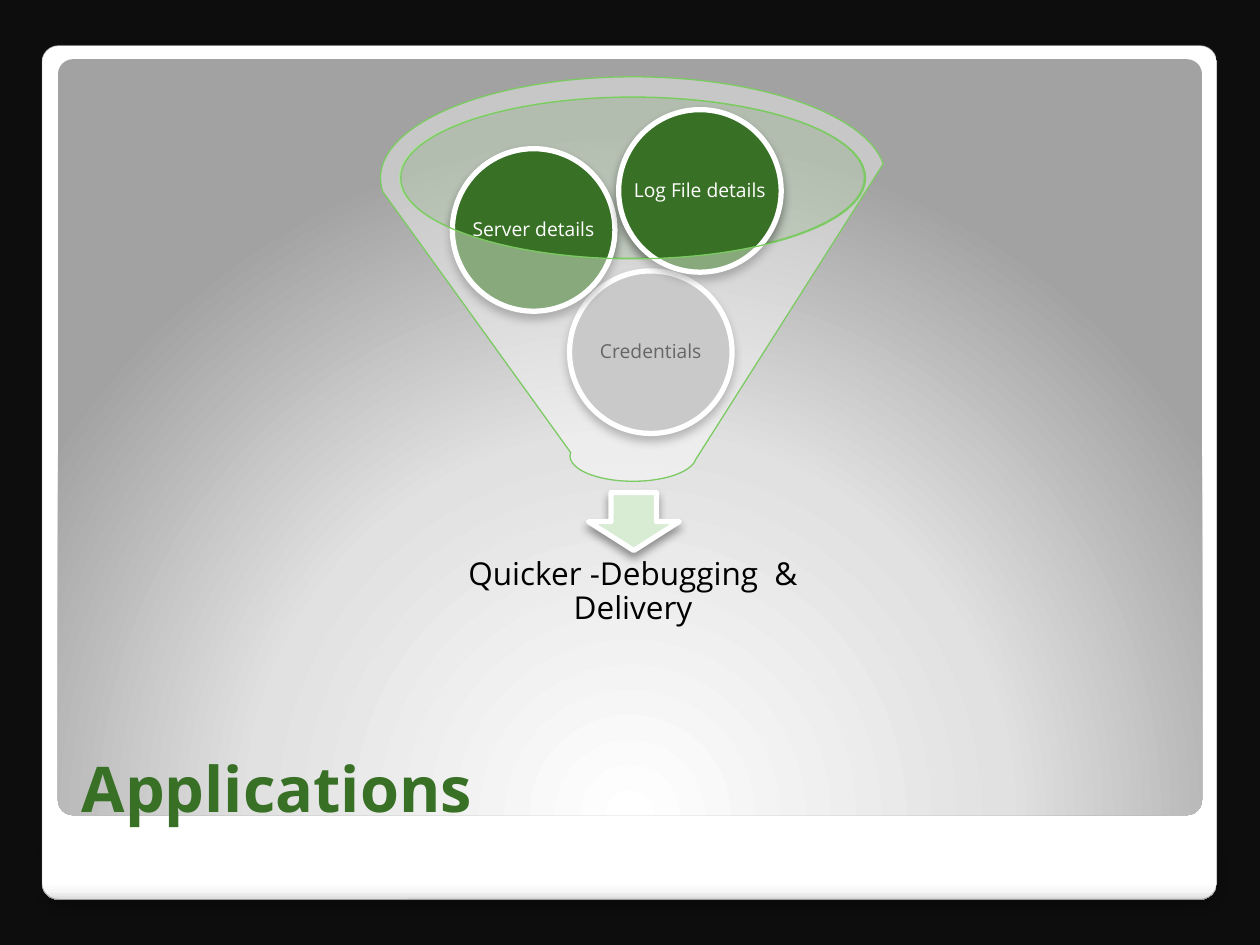
from dataclasses import dataclass

from pptx import Presentation
from pptx import util as u
from pptx.dml.color import RGBColor
from pptx.enum import shapes, text
from pptx.oxml import parse_xml
from pptx.oxml.ns import nsdecls, qn


@dataclass(frozen=True)
class Theme:
    font: str = "Open Sans"
    backdrop: str = "0D0D0D"
    edge: str = "302F2C"
    green: str = "387026"
    outline: str = "7CCA62"
    rim: str = "CCE6C5"
    arrow: str = "D7ECD3"
    grey: str = "A6A6A6"
    white: str = "FFFFFF"
    black: str = "000000"
    title: int = 36
    result: int = 18
    label: int = 11
    panel: tuple = ((0, "FFFFFF"), (98, "FFFFFF"), (99, "F7F7F7"), (100, "DADADA"))
    glow: tuple = ((0, "FFFFFF"), (55, "E1E1E1"), (100, "A2A2A2"))


LINEAR = '<a:lin ang="5400000" scaled="0"/>'
RADIAL = ('<a:path path="circle">'
          '<a:fillToRect l="100000" t="350000" r="100000" b="100000"/></a:path>')
KIND = shapes.MSO_SHAPE


class Painter:
    """Draws styled elements on a slide gridded into 100 columns and 75 rows."""

    def __init__(self, deck, theme):
        self.theme = theme
        self.cell_width = deck.slide_width / 100
        self.cell_height = deck.slide_height / 75
        self.slide = deck.slides.add_slide(deck.slide_layouts[6])
        fill = self.slide.background.fill
        fill.solid()
        fill.fore_color.rgb = RGBColor.from_string(theme.backdrop)

    def place(self, area):
        left, top, width, height = area
        return (round(left * self.cell_width), round(top * self.cell_height),
                round(width * self.cell_width), round(height * self.cell_height))

    def fade(self, parent, percent):
        colour = parent.find(qn("a:solidFill")).find(qn("a:srgbClr"))
        colour.append(parse_xml(f'<a:alpha {nsdecls("a")} val="{percent * 1000}"/>'))

    def shape(self, kind, area, fill=None, opacity=100, line=None, weight=3):
        shape = self.slide.shapes.add_shape(kind, *self.place(area))
        shape.shadow.inherit = False
        if fill:
            shape.fill.solid()
            shape.fill.fore_color.rgb = RGBColor.from_string(fill)
            if opacity < 100:
                self.fade(shape.element.spPr, opacity)
        if line:
            shape.line.color.rgb = RGBColor.from_string(line)
            shape.line.width = u.Pt(weight)
        else:
            shape.line.fill.background()
        return shape

    def shadow(self, shape, opacity=40, blur=5.2, distance=3):
        shape.element.spPr.find(qn("a:effectLst")).append(parse_xml(
            f'<a:outerShdw {nsdecls("a")} blurRad="{u.Pt(blur)}" dist="{u.Pt(distance)}" '
            f'dir="5400000" rotWithShape="0"><a:srgbClr val="{self.theme.black}">'
            f'<a:alpha val="{opacity * 1000}"/></a:srgbClr></a:outerShdw>'))

    def panel(self, area, corner, stops, direction, edge=None):
        panel = self.shape(KIND.ROUNDED_RECTANGLE, area, line=edge, weight=0.67)
        panel.adjustments[0] = corner
        panel.fill.background()
        properties = panel.element.spPr
        marks = "".join(f'<a:gs pos="{share * 1000}"><a:srgbClr val="{colour}"/></a:gs>'
                        for share, colour in stops)
        properties.replace(properties.find(qn("a:noFill")), parse_xml(
            f'<a:gradFill {nsdecls("a")} rotWithShape="1">'
            f'<a:gsLst>{marks}</a:gsLst>{direction}</a:gradFill>'))
        if edge:
            self.fade(properties.find(qn("a:ln")), 37)
        return panel

    def label(self, box, words, size, colour, bold=False, centred=True, inset=0.0, wrap=True):
        frame = box.text_frame
        frame.word_wrap = wrap
        frame.vertical_anchor = text.MSO_ANCHOR.MIDDLE if centred else text.MSO_ANCHOR.BOTTOM
        frame.margin_left = frame.margin_right = u.Inches(inset)
        frame.margin_top = frame.margin_bottom = u.Inches(inset if centred else inset / 2)
        para = frame.paragraphs[0]
        para.text = words
        para.alignment = text.PP_ALIGN.CENTER if centred else text.PP_ALIGN.LEFT
        if centred:
            para.line_spacing = 0.9
        para.font.name = self.theme.font
        para.font.size = u.Pt(size)
        para.font.bold = bold
        para.font.color.rgb = RGBColor.from_string(colour)

    def caption(self, area, words, size, colour, **style):
        box = self.slide.shapes.add_textbox(*self.place(area))
        self.label(box, words, size, colour, **style)

    def ball(self, left, top, words, fill, colour):
        ball = self.shape(KIND.OVAL, (left, top, 12.9, 12.9), fill, line=self.theme.white)
        self.shadow(ball)
        self.label(ball, words, self.theme.label, colour, wrap=False)


def main():
    deck = Presentation()
    deck.slide_width, deck.slide_height = u.Inches(10), u.Inches(7.5)
    theme = Theme()
    painter = Painter(deck, theme)

    base = painter.panel((3.5, 66.3, 93, 5), 0.33, theme.panel, LINEAR, theme.edge)
    painter.shadow(base, opacity=25, blur=6, distance=4)
    painter.panel((3.3, 3.6, 93.3, 67.8), 0.02, theme.panel, LINEAR, theme.edge)
    painter.panel((4.6, 4.7, 90.8, 60), 0.02, theme.glow, RADIAL)
    painter.caption((5.5, 54.5, 89.5, 11.5), "Applications", theme.title, theme.green,
                    bold=True, centred=False, inset=0.1)

    painter.shape(KIND.OVAL, (31.7, 7.7, 36.9, 12.8), theme.rim, opacity=40,
                  line=theme.outline, weight=0.75)
    arrow = painter.shape(KIND.DOWN_ARROW, (46.7, 39.1, 7.2, 4.6), theme.arrow,
                          line=theme.white)
    painter.shadow(arrow)
    painter.caption((33.1, 42.7, 34.3, 8.6), "Quicker -Debugging  & Delivery",
                    theme.result, theme.black, inset=0.14)
    for ball in ((45.2, 21.5, "Credentials", theme.grey, theme.black),
                 (35.9, 11.8, "Server details", theme.green, theme.white),
                 (49.1, 8.7, "Log File details", theme.green, theme.white)):
        painter.ball(*ball)
    painter.shape(KIND.FUNNEL, (30.2, 6.1, 40.1, 32.1), theme.white, opacity=40,
                  line=theme.outline, weight=0.75)

    deck.save("out.pptx")


if __name__ == "__main__":
    main()
